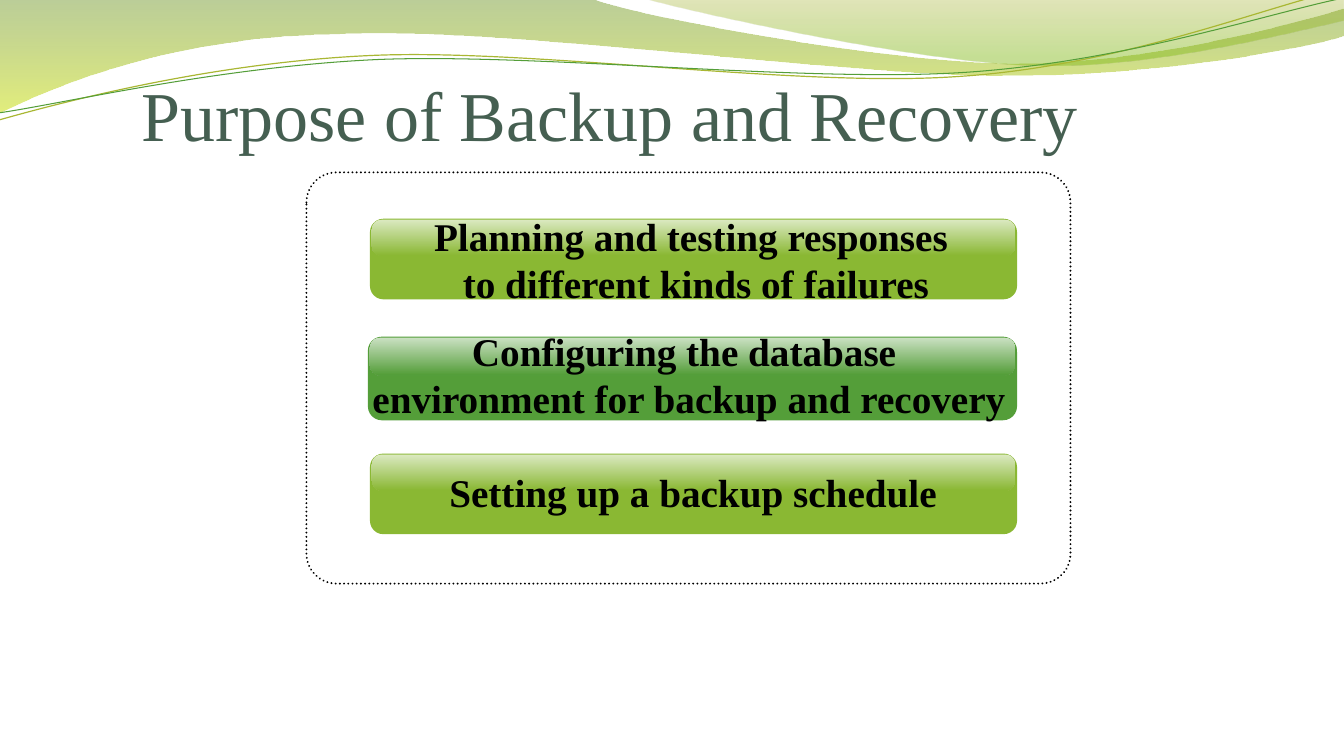
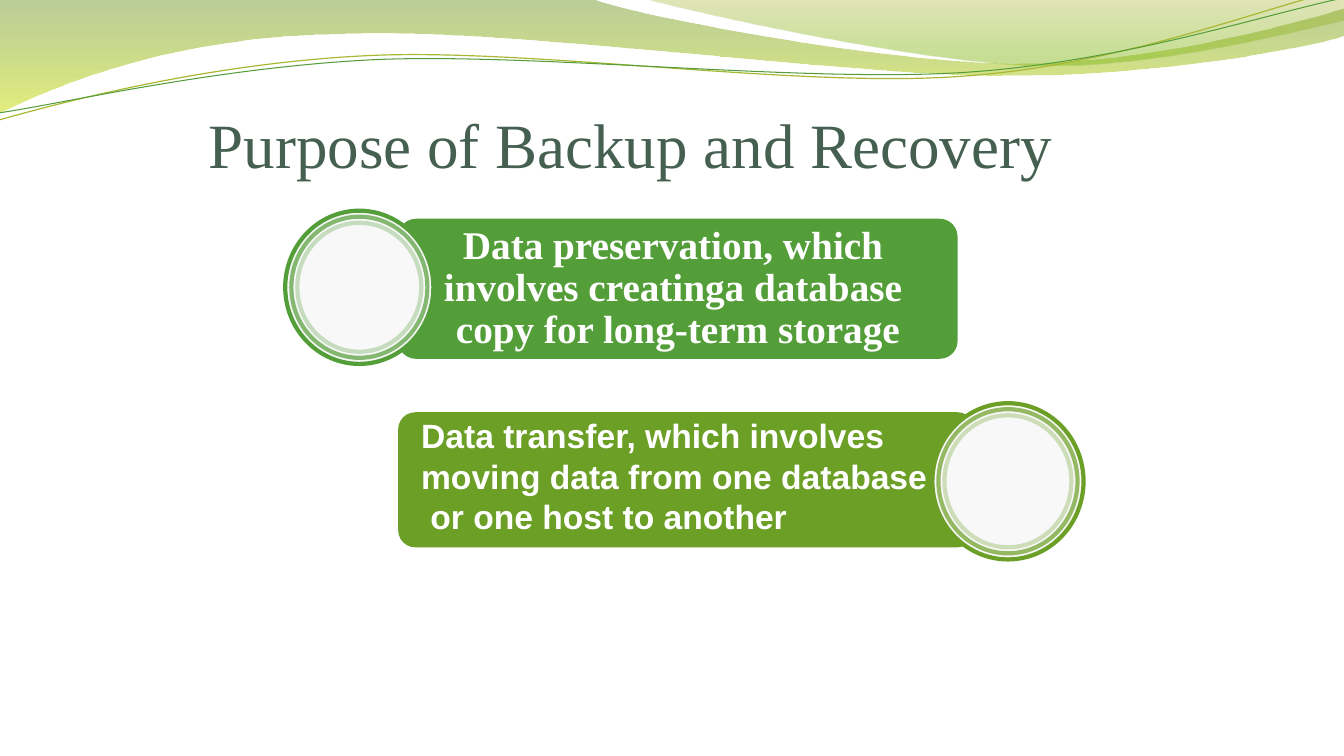
from lxml.etree import Element, SubElement
from pptx import Presentation
from pptx.dml.color import RGBColor
from pptx.enum.dml import MSO_LINE
from pptx.enum.shapes import MSO_SHAPE as SHAPE
from pptx.enum.text import MSO_ANCHOR as ANCHOR, PP_ALIGN as ALIGN
from pptx.oxml.ns import qn
from pptx.util import Inches, Pt

COLORS = {
    "title": "455F51", "black": "000000", "white": "FFFFFF", "disc": "F8F8F8",
    "green": "549E39", "lime": "8AB833", "olive": "6B9F25", "thread": "A9B733",
    "band_top": "69921C", "band_end": "CCE10F",
    "swoosh_top": "9BAA1A", "swoosh_end": "81BA16",
}
SERIF, SANS = "Times New Roman", "Arial"
TITLE = "Purpose of Backup and Recovery"

BAND = [(0, 0), (5.87, -0.01),
        (6.34, 0.17, 8.84, 0.63, 10.11, 0.63),
        (11.37, 0.63, 12.77, 0.26, 13.33, 0.09), (13.34, 0.36),
        (13.11, 0.44, 11.59, 0.76, 9.94, 0.75),
        (8.29, 0.75, 5.09, 0.28, 3.43, 0.34),
        (1.72, 0.36, 0.61, 0.83, -0.02, 1.13), (0, 0)]
SWOOSH = [(6.38, -0.01),
          (6.79, 0.11, 9.09, 0.62, 10.25, 0.65),
          (11.4, 0.69, 12.82, 0.32, 13.33, 0.21), (13.33, 0), (6.38, -0.01)]
THREADS = [
    ("thread", 0.85, [(-0.01, 1.19), (0.63, 1.01, 2.1, 0.62, 3.69, 0.55),
                      (5.27, 0.48, 7.89, 0.87, 9.49, 0.76),
                      (11.1, 0.66, 12.51, 0.08, 13.3, -0.1)]),
    ("green", 0.75, [(-0.01, 1.12), (0.62, 1.03, 2.18, 0.66, 3.77, 0.59),
                     (5.37, 0.53, 7.96, 0.82, 9.55, 0.72),
                     (11.14, 0.62, 12.55, 0.14, 13.33, -0.02)]),
]


def rgb(name):
    return RGBColor.from_string(COLORS[name])


def set_opacity(color_el, percent):
    SubElement(color_el, qn("a:alpha")).set("val", str(percent * 1000))


def fill_gradient(sp, stops):
    sp.fill.gradient()
    sp.fill.gradient_angle = 270
    for stop, (position, color, _) in zip(sp.fill.gradient_stops, stops):
        stop.position = position
        stop.color.rgb = rgb(color)
    color_els = sp._element.spPr.iter(qn("a:srgbClr"))
    for color_el, (_, _, opacity) in zip(list(color_els), stops):
        set_opacity(color_el, opacity)


def set_line(sp, color=None, width=1, opacity=100):
    if color is None:
        sp.line.fill.background()
        return
    sp.line.color.rgb = rgb(color)
    sp.line.width = Pt(width)
    if opacity < 100:
        set_opacity(sp.line._ln.find(".//" + qn("a:srgbClr")), opacity)


def add_preset(slide, kind, box, fill=None, radius=None):
    sp = slide.shapes.add_shape(kind, *map(Inches, box))
    sp.shadow.inherit = False
    if radius is not None:
        sp.adjustments[0] = radius
    if fill:
        sp.fill.solid()
        sp.fill.fore_color.rgb = rgb(fill)
    else:
        sp.fill.background()
    set_line(sp)
    return sp


def write(sp, lines, size, color, font=SERIF, bold=True, align=ALIGN.CENTER,
          anchor=ANCHOR.MIDDLE, wrap=False, spacing=None):
    tf = sp.text_frame
    tf.word_wrap = wrap
    tf.vertical_anchor = anchor
    for i, line in enumerate(lines):
        p = tf.paragraphs[0] if i == 0 else tf.add_paragraph()
        p.text = line
        p.alignment = align
        p.line_spacing = spacing
        p.font.name = font
        p.font.size = Pt(size)
        p.font.bold = bold
        p.font.color.rgb = rgb(color)
    return tf


def add_text(slide, box, lines, size, color, **style):
    sp = slide.shapes.add_textbox(*map(Inches, box))
    return write(sp, lines, size, color, align=ALIGN.LEFT, wrap=True, **style)


def add_outline(slide, segments, closed):
    points = [(Inches(x), Inches(y)) for seg in segments
              for x, y in zip(seg[::2], seg[1::2])]
    builder = slide.shapes.build_freeform(*points[0])
    builder.add_line_segments(points[1:], close=closed)
    sp = builder.convert_to_shape()
    sp.shadow.inherit = False
    steps = iter(list(sp._element.iter(qn("a:lnTo"))))
    for seg in segments[1:]:
        first = next(steps)
        if len(seg) == 6:
            curve = Element(qn("a:cubicBezTo"))
            first.addprevious(curve)
            for step in (first, next(steps), next(steps)):
                curve.append(step[0])
                step.getparent().remove(step)
    return sp


def add_waves(slide):
    for segments, stops in (
        (BAND, [(0, "band_top", 45), (1, "band_end", 55)]),
        (SWOOSH, [(0, "swoosh_top", 30), (0.8, "swoosh_end", 45)]),
    ):
        sp = add_outline(slide, segments, True)
        fill_gradient(sp, stops)
        set_line(sp)
    for color, width, segments in THREADS:
        sp = add_outline(slide, segments, False)
        sp.fill.background()
        set_line(sp, color, width)


def add_base(prs, title_box, title_size):
    slide = prs.slides.add_slide(prs.slide_layouts[6])
    add_waves(slide)
    tf = add_text(slide, title_box, [TITLE], title_size, "title", bold=False,
                  anchor=ANCHOR.BOTTOM)
    tf.margin_left = tf.margin_right = tf.margin_bottom = 0
    return slide


def add_glossy_bar(slide, box, color, label_box, lines):
    left, top, width, height = box
    add_preset(slide, SHAPE.ROUNDED_RECTANGLE, box, color, 0.167)
    gloss_box = (left + 0.02, top + 0.01, width - 0.04, height * 0.45)
    gloss = add_preset(slide, SHAPE.ROUNDED_RECTANGLE, gloss_box, radius=0.284)
    fill_gradient(gloss, [(0, "white", 70), (1, color, 70)])
    label = add_preset(slide, SHAPE.ROUNDED_RECTANGLE, label_box, radius=0.076)
    write(label, lines, 28, "black")


def add_medallion(slide, box, color):
    left, top, width, height = box
    for ring, opacity in enumerate((100, 70, 30)):
        inset = 0.06 * ring
        ring_box = (left + inset, top + inset, width - 2 * inset, height - 2 * inset)
        sp = add_preset(slide, SHAPE.OVAL, ring_box, None if ring else "disc")
        set_line(sp, color, 3, opacity)


def add_planning_slide(prs):
    slide = add_base(prs, (1.4, 0.57, 10.49, 0.97), 50)
    panel = add_preset(slide, SHAPE.ROUNDED_RECTANGLE, (3.04, 1.71, 7.58, 4.08), radius=0.073)
    set_line(panel, "black", 1.5)
    panel.line.dash_style = MSO_LINE.ROUND_DOT
    panel.line._ln.set("cap", "rnd")
    for box, color, label_box, lines in (
        ((3.67, 2.17, 6.42, 0.8), "lime", (4.94, 2.36, 3.83, 0.42),
         ["Planning and testing responses", " to different kinds of failures"]),
        ((3.65, 3.34, 6.44, 0.83), "green", (4.92, 3.5, 3.83, 0.42),
         ["Configuring the database ", "environment for backup and recovery"]),
        ((3.67, 4.5, 6.42, 0.8), "lime", (4.25, 4.5, 5.25, 0.75),
         ["Setting up a backup schedule"]),
    ):
        add_glossy_bar(slide, box, color, label_box, lines)


def add_data_slide(prs):
    slide = add_base(prs, (2.07, 1.16, 10.03, 0.64), 45)
    preservation = add_preset(slide, SHAPE.ROUNDED_RECTANGLE, (3.95, 2.17, 5.55, 1.39),
                              "green", 0.127)
    write(preservation, ["Data preservation, which ", "involves creatinga database ",
                         "copy for long-term storage"], 28, "white", spacing=0.9)
    add_medallion(slide, (2.83, 2.09, 1.47, 1.52), "green")

    add_preset(slide, SHAPE.ROUNDED_RECTANGLE, (3.95, 4.09, 5.72, 1.34), "olive", 0.127)
    add_text(slide, (4.08, 4.07, 6, 1.3),
             ["Data transfer, which involves ", "moving data from one database",
              " or one host to another"],
             24, "white", font=SANS, anchor=ANCHOR.TOP)
    add_medallion(slide, (9.25, 4, 1.5, 1.55), "olive")


prs = Presentation()
prs.slide_width, prs.slide_height = Inches(40 / 3), Inches(7.5)
add_planning_slide(prs)
add_data_slide(prs)
prs.save("out.pptx")
